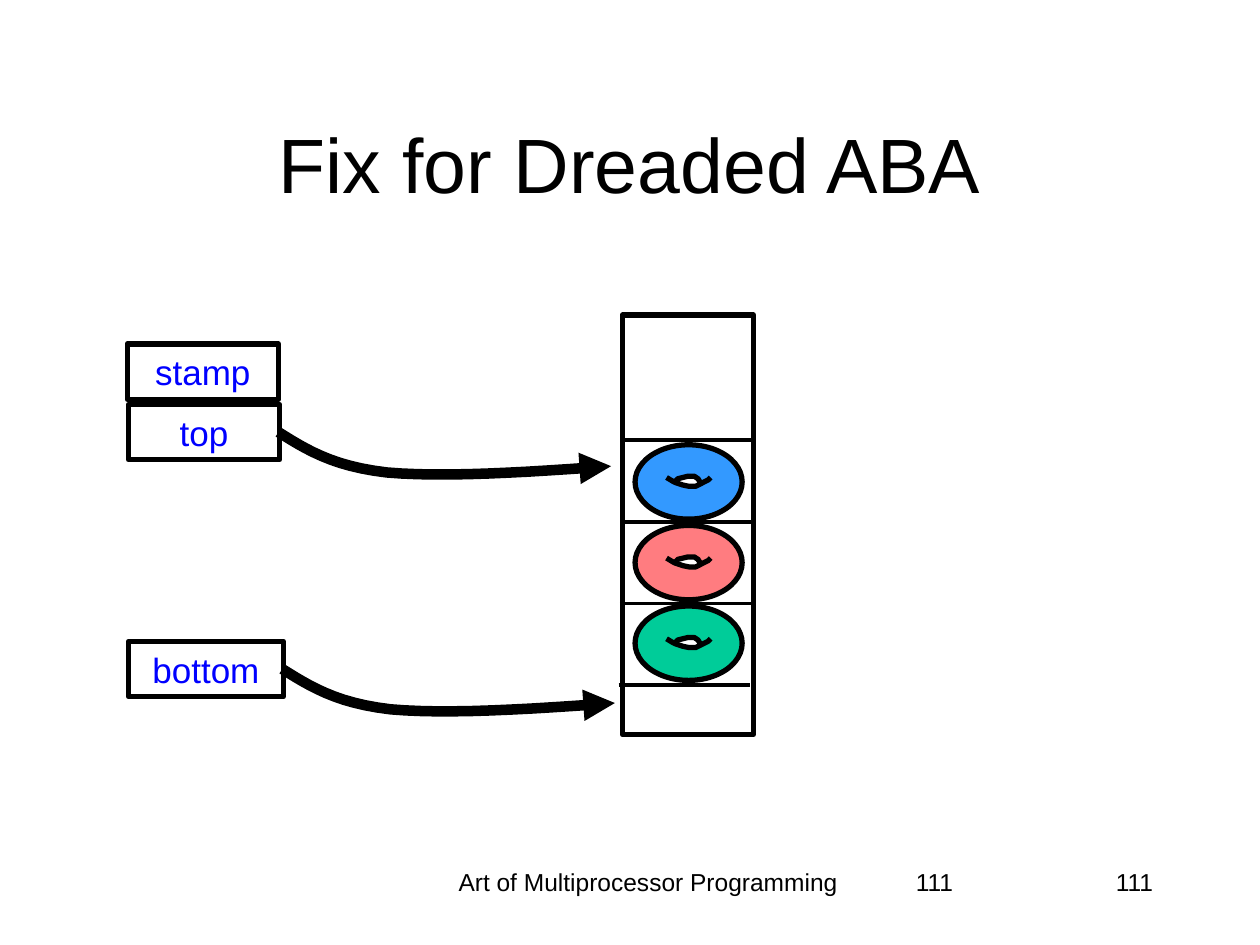
from lxml import etree
from pptx import Presentation
from pptx.dml.color import RGBColor
from pptx.enum.shapes import MSO_CONNECTOR, MSO_SHAPE
from pptx.enum.text import MSO_ANCHOR, PP_ALIGN
from pptx.oxml.ns import qn
from pptx.util import Inches, Pt

RECT, OVAL = MSO_SHAPE.RECTANGLE, MSO_SHAPE.OVAL
LINE = MSO_CONNECTOR.STRAIGHT
LEFT, MID, RIGHT = PP_ALIGN.LEFT, PP_ALIGN.CENTER, PP_ALIGN.RIGHT
TOP, CENTER = MSO_ANCHOR.TOP, MSO_ANCHOR.MIDDLE

INK = {"black": "000000", "white": "FFFFFF", "label": "0000FF",
       "blue": "3399FF", "pink": "FF7C80", "green": "00CC99"}

HOLE = [(.32, .3), (.34, .31), (.36, .32), (.39, .33), (.45, .33), (.53, .32),
        (.48, .27), (.46, .25), (.36, .27), (.33, .28)]
LID = [(.31, .3), (.34, .27), (.38, .26), (.42, .25), (.47, .25), (.5, .27),
       (.53, .32)]
SMILE = [(.25, .26), (.3, .29), (.32, .3), (.38, .32), (.43, .33), (.48, .33),
         (.54, .3), (.58, .28), (.6, .26)]
SWOOP = [[(0, 0), (.21, .13), (.42, .27), (.86, .32)],
         [(.86, .32), (1.3, .36), (1.96, .32), (2.64, .27)]]


def color(name):
    return RGBColor.from_string(INK[name])


def write(shape, text, size=20, ink="black", align=MID, anchor=CENTER):
    frame = shape.text_frame
    frame.word_wrap = True
    frame.vertical_anchor = anchor
    para = frame.paragraphs[0]
    para.text = text
    para.alignment = align
    para.font.name = "Arial"
    para.font.size = Pt(size)
    para.font.color.rgb = color(ink)


def style(shape, fill=None, width=3):
    shape.shadow.inherit = False
    if fill:
        shape.fill.solid()
        shape.fill.fore_color.rgb = color(fill)
    else:
        shape.fill.background()
    shape.line.color.rgb = color("black")
    shape.line.width = Pt(width)


def block(slide, kind, box, fill=None):
    shape = slide.shapes.add_shape(kind, *map(Inches, box))
    style(shape, fill)
    return shape


def trace(slide, x, y, points, fill=None, width=3, close=False):
    spots = [(Inches(x + dx), Inches(y + dy)) for dx, dy in points]
    pen = slide.shapes.build_freeform(*spots[0])
    pen.add_line_segments(spots[1:], close=close)
    shape = pen.convert_to_shape()
    style(shape, fill, width)
    return shape


def curve(ends, steps=12):
    for i in range(steps + 1):
        t = i / steps
        parts = ((1 - t) ** 3, 3 * t * (1 - t) ** 2, 3 * t * t * (1 - t), t ** 3)
        yield tuple(sum(k * p[axis] for k, p in zip(parts, ends))
                    for axis in (0, 1))


def arrow(slide, x, y):
    first, last = (list(curve(ends)) for ends in SWOOP)
    shape = trace(slide, x, y, first + last[1:], width=6)
    etree.SubElement(shape.line._get_or_add_ln(), qn("a:tailEnd"), type="triangle")


def rule(slide, x, y, width):
    line = slide.shapes.add_connector(
        LINE, Inches(x), Inches(y), Inches(x + width), Inches(y))
    line.line.color.rgb = color("black")
    line.line.width = Pt(2.25)
    etree.SubElement(line._element.spPr, qn("a:effectLst"))


def ring(slide, x, y, fill):
    block(slide, OVAL, (x, y, .85, .59), fill)
    trace(slide, x, y, HOLE, "white", .75, True)
    trace(slide, x, y, LID)
    trace(slide, x, y, SMILE)


def stack(slide, x, y, width, height):
    block(slide, RECT, (x, y, width, height))
    for i, fill in enumerate(("blue", "pink", "green")):
        ring(slide, x + .1, y + 1.03 + .64 * i, fill)
    for i in range(4):
        rule(slide, x - .01 * i, y + .99 + .65 * i, width)


def fields(slide, x, y):
    for text, dx, dy, width in (("stamp", 0, 0, 1.2), ("top", .01, .48, 1.2),
                                ("bottom", .01, 2.36, 1.23)):
        box = block(slide, RECT, (x + dx, y + dy, width, .44))
        write(box, text, ink="label")
    arrow(slide, x + 1.23, y + 2.58)
    arrow(slide, x + 1.2, y + .7)


def footer(slide, y, height):
    for text, x, width, align in (
            ("Art of Multiprocessor Programming", 3.42, 3.45, MID),
            ("111", 7.17, 2.08, LEFT), ("111", 7.17, 2.08, RIGHT)):
        box = slide.shapes.add_textbox(*map(Inches, (x, y, width, height)))
        write(box, text, size=14, align=align, anchor=TOP)


def heading(slide, x, y, width, height):
    title = slide.shapes.title
    title.left, title.top = Inches(x), Inches(y)
    title.width, title.height = Inches(width), Inches(height)
    write(title, "Fix for Dreaded ABA", size=44)


def main():
    deck = Presentation()
    deck.slide_width, deck.slide_height = Inches(10), Inches(7.5)
    slide = deck.slides.add_slide(deck.slide_layouts[5])
    footer(slide, 6.83, .5)
    heading(slide, .75, .67, 8.5, 1.25)
    stack(slide, 4.94, 2.5, 1.04, 3.33)
    fields(slide, 1.01, 2.73)
    deck.save("out.pptx")


if __name__ == "__main__":
    main()
